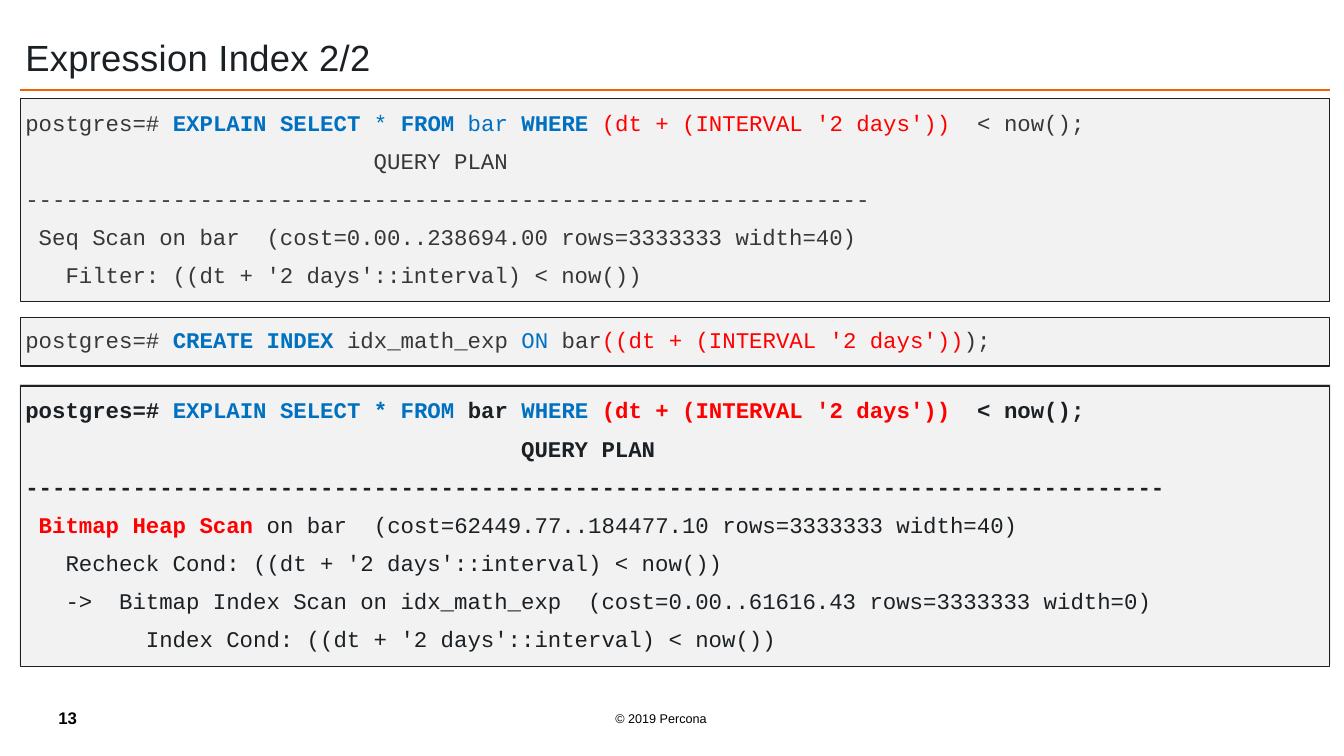
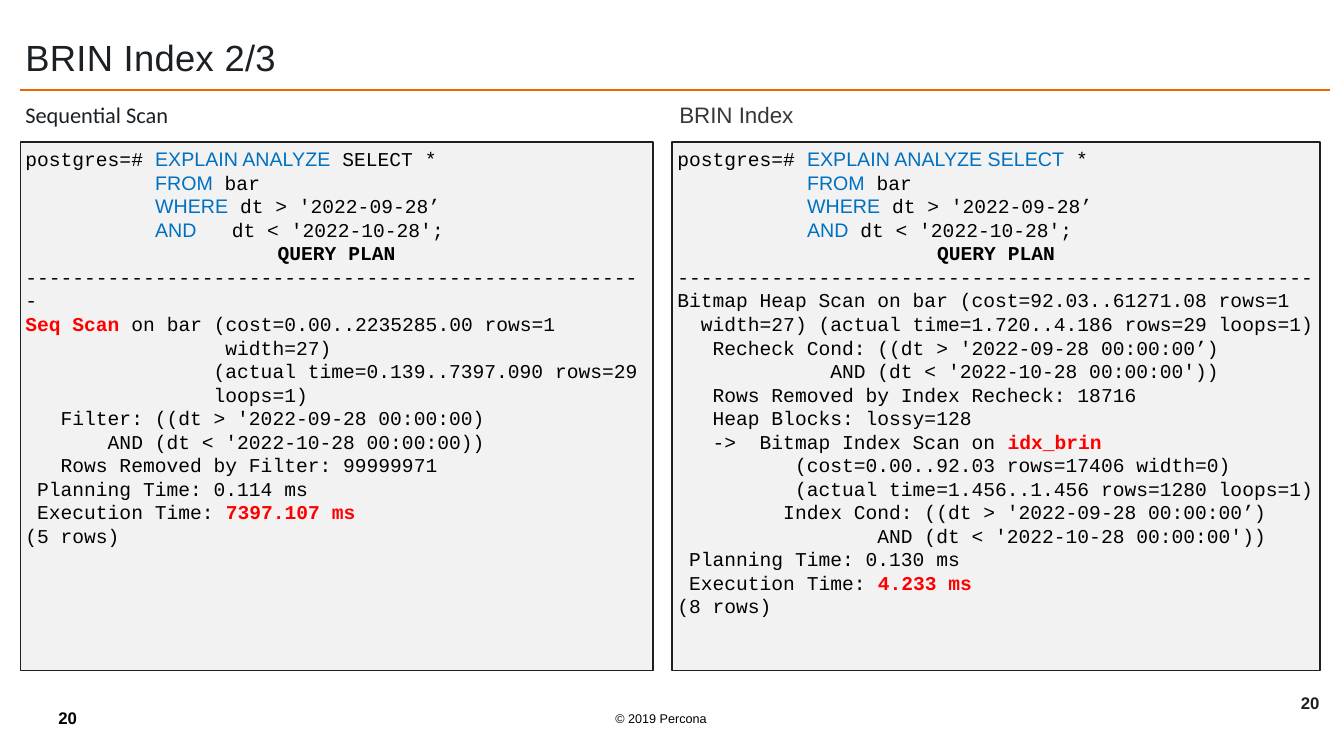
from lxml.etree import SubElement
from pptx import Presentation
from pptx.dml.color import RGBColor
from pptx.enum.shapes import MSO_CONNECTOR, MSO_SHAPE
from pptx.enum.text import MSO_ANCHOR, PP_ALIGN
from pptx.oxml.ns import qn
from pptx.util import Cm, Pt

INK, GREY, BLACK = "1B2024", "373737", "000000"
BLUE, RED, ORANGE, PANEL = "0070C0", "FF0000", "F06400", "F2F2F2"
SANS, MONO = "Arial", "Courier New"
LEFT, WIDTH = 0.51, 33
INSET = 0.13
CODE_TOP, CODE_HEIGHT = 3.58, 13.31
COPYRIGHT = "© 2019 Percona"

STYLES = {
    "grey": (MONO, GREY, False),
    "ink": (MONO, INK, False),
    "ink bold": (MONO, INK, True),
    "black": (MONO, BLACK, False),
    "heading": (MONO, BLACK, True),
    "blue": (MONO, BLUE, False),
    "blue bold": (MONO, BLUE, True),
    "red": (MONO, RED, False),
    "red bold": (MONO, RED, True),
    "keyword": (SANS, BLUE, False),
}

SEQ_PLAN = [
    [("postgres=# ", "grey"), ("EXPLAIN SELECT", "blue bold"), (" * ", "blue"),
     ("FROM", "blue bold"), (" bar ", "blue"), ("WHERE ", "blue bold"),
     ("(dt + (INTERVAL '2 days'))", "red"), ("  < now();", "grey")],
    [("                          QUERY PLAN", "grey")],
    [("-" * 63, "grey")],
    [(" Seq Scan on bar  (cost=0.00..238694.00 rows=3333333 width=40)", "grey")],
    [("   Filter: ((dt + '2 days'::interval) < now())", "grey")],
]
CREATE_INDEX = [
    [("postgres=# ", "grey"), ("CREATE INDEX ", "blue bold"), ("idx_math_exp ", "grey"),
     ("ON", "blue"), (" bar", "grey"), ("((dt + (INTERVAL '2 days'))", "red"), (");", "grey")],
]
BITMAP_PLAN = [
    [("postgres=# ", "ink bold"), ("EXPLAIN SELECT * FROM ", "blue bold"), ("bar ", "ink bold"),
     ("WHERE ", "blue bold"), ("(dt + (INTERVAL '2 days'))", "red bold"),
     ("  < now();", "ink bold")],
    [("                                     QUERY PLAN", "ink bold")],
    [("-" * 85, "ink bold")],
    [(" Bitmap Heap Scan ", "red bold"),
     ("on bar  (cost=62449.77..184477.10 rows=3333333 width=40)", "ink")],
    [("   Recheck Cond: ((dt + '2 days'::interval) < now())", "ink")],
    [("   ->  Bitmap Index Scan on idx_math_exp  (cost=0.00..61616.43 rows=3333333 width=0)",
      "ink")],
    [("         Index Cond: ((dt + '2 days'::interval) < now())", "ink")],
]
EXPRESSION_PANELS = [(2.49, 5.11, SEQ_PLAN), (8, 1.22, CREATE_INDEX), (9.73, 7.06, BITMAP_PLAN)]


def query(explain, select, and_gap):
    margin = " " * 11
    return [
        [("postgres=# ", "black"), (explain, "keyword"), (select, "black")],
        [(margin, "black"), ("FROM", "keyword"), (" bar", "black")],
        [(margin, "black"), ("WHERE", "keyword"), (" dt > '2022-09-28’", "black")],
        [(margin, "black"), ("AND", "keyword"), (and_gap + "dt < '2022-10-28';", "black")],
        [("QUERY PLAN", "heading")],
    ]


SEQUENTIAL_CODE = query("EXPLAIN ANALYZE", " SELECT *", "   ") + [
    [("-" * 53, "black")],
    [("Seq Scan", "red bold"), (" on bar (cost=0.00..2235285.00 rows=1", "black")],
    [("                 width=27)", "black")],
    [("                (actual time=0.139..7397.090 rows=29", "black")],
    [("                loops=1)", "black")],
    [("   Filter: ((dt > '2022-09-28 00:00:00)", "black")],
    [("       AND (dt < '2022-10-28 00:00:00))", "black")],
    [("   Rows Removed by Filter: 99999971", "black")],
    [(" Planning Time: 0.114 ms", "black")],
    [(" Execution Time: ", "black"), ("7397.107 ms", "red bold")],
    [("(5 rows)", "black")],
]
BRIN_CODE = query("EXPLAIN ANALYZE SELECT", " *", " ") + [
    [("-" * 54, "black")],
    [("Bitmap Heap Scan on bar (cost=92.03..61271.08 rows=1", "black")],
    [("  width=27) (actual time=1.720..4.186 rows=29 loops=1)", "black")],
    [("   Recheck Cond: ((dt > '2022-09-28 00:00:00’)", "black")],
    [("             AND (dt < '2022-10-28 00:00:00'))", "black")],
    [("   Rows Removed by Index Recheck: 18716", "black")],
    [("   Heap Blocks: lossy=128", "black")],
    [("   ->  Bitmap Index Scan on ", "black"), ("idx_brin", "red bold")],
    [("          (cost=0.00..92.03 rows=17406 width=0)", "black")],
    [("          (actual time=1.456..1.456 rows=1280 loops=1)", "black")],
    [("         Index Cond: ((dt > '2022-09-28 00:00:00’)", "black")],
    [("                 AND (dt < '2022-10-28 00:00:00'))", "black")],
    [(" Planning Time: 0.130 ms", "black")],
    [(" Execution Time: ", "black"), ("4.233 ms", "red bold")],
    [("(8 rows)", "black")],
]
SCAN_COLUMNS = [
    ("Sequential Scan", "Calibri", INK, LEFT, LEFT, 15.95, SEQUENTIAL_CODE),
    ("BRIN Index", SANS, GREY, 16.99, 16.94, 16.33, BRIN_CODE),
]


def color(value):
    return RGBColor.from_string(value)


def add_span(para, text, size, font, ink, bold=False):
    span = para.add_run()
    span.text = text
    span.font.size = Pt(size)
    span.font.name = font
    span.font.bold = bold
    span.font.color.rgb = color(ink)
    return span


def set_frame(frame, anchor, inset=INSET):
    frame.word_wrap = True
    frame.vertical_anchor = anchor
    if inset is not None:
        frame.margin_left = frame.margin_right = Cm(inset)
        frame.margin_top = frame.margin_bottom = Cm(inset)


def add_label(page, area, text, size, font=SANS, ink=BLACK, bold=False, align=PP_ALIGN.LEFT,
              anchor=MSO_ANCHOR.MIDDLE, inset=INSET, line_spacing=1.0):
    box = page.shapes.add_textbox(*map(Cm, area))
    set_frame(box.text_frame, anchor, inset)
    para = box.text_frame.paragraphs[0]
    para.alignment = align
    para.line_spacing = line_spacing
    return add_span(para, text, size, font, ink, bold)


def add_code(page, area, lines, size, anchor, line_spacing=1.0, gap=0):
    panel = page.shapes.add_shape(MSO_SHAPE.RECTANGLE, *map(Cm, area))
    panel.shadow.inherit = False
    panel.fill.solid()
    panel.fill.fore_color.rgb = color(PANEL)
    panel.line.color.rgb = color(INK)
    panel.line.width = Pt(1)
    frame = panel.text_frame
    set_frame(frame, anchor)
    for index, line in enumerate(lines):
        para = frame.add_paragraph() if index else frame.paragraphs[0]
        para.alignment = PP_ALIGN.CENTER if line[0][1] == "heading" else PP_ALIGN.LEFT
        para.line_spacing = line_spacing
        para.space_before = Pt(gap if index else 0)
        for text, style in line:
            add_span(para, text, size, *STYLES[style])
    return panel


def add_top_shadow(panel):
    effects = panel._element.spPr.find(qn("a:effectLst"))
    shadow = SubElement(effects, qn("a:outerShdw"), dist=str(Pt(1)), dir="16200000")
    shade = SubElement(shadow, qn("a:srgbClr"), val=BLACK)
    SubElement(shade, qn("a:alpha"), val="19000")


def add_page(deck, title, number):
    page = deck.slides.add_slide(deck.slide_layouts[6])
    add_label(page, (14.12, 17.78, 5.08, 0.64), COPYRIGHT, 9, align=PP_ALIGN.CENTER, inset=None)
    add_label(page, (1.22, 17.7, 5.08, 0.76), number, 12, bold=True, inset=None)
    rule = page.shapes.add_connector(MSO_CONNECTOR.STRAIGHT, Cm(LEFT), Cm(2.27),
                                     Cm(LEFT + WIDTH), Cm(2.27))
    rule.line.color.rgb = color(ORANGE)
    rule.line.width = Pt(2)
    SubElement(rule._element.spPr, qn("a:effectLst"))
    span = add_label(page, (LEFT, 0.51, WIDTH, 2), title, 26, ink=INK, line_spacing=0.9)
    span.font._element.set("spc", "20")
    return page


def add_expression_page(deck):
    page = add_page(deck, "Expression Index 2/2", "13")
    for top, height, lines in EXPRESSION_PANELS:
        panel = add_code(page, (LEFT, top, WIDTH, height), lines, 16, MSO_ANCHOR.MIDDLE, 0.9, 10)
    add_top_shadow(panel)


def add_brin_page(deck):
    page = add_page(deck, "BRIN Index 2/3", "20")
    for heading, font, ink, heading_left, left, width, lines in SCAN_COLUMNS:
        add_label(page, (heading_left, 2.49, 15.95, 1.07), heading, 16, font, ink,
                  anchor=MSO_ANCHOR.TOP, line_spacing=0.9)
        add_code(page, (left, CODE_TOP, width, CODE_HEIGHT), lines, 14, MSO_ANCHOR.TOP)
    add_label(page, (32.64, 17.4, 0.76, 0.64), "20", 12, ink=INK, bold=True,
              align=PP_ALIGN.CENTER)


def main():
    deck = Presentation()
    deck.slide_width, deck.slide_height = Cm(33.87), Cm(19.05)
    add_expression_page(deck)
    add_brin_page(deck)
    deck.save("out.pptx")


if __name__ == "__main__":
    main()
